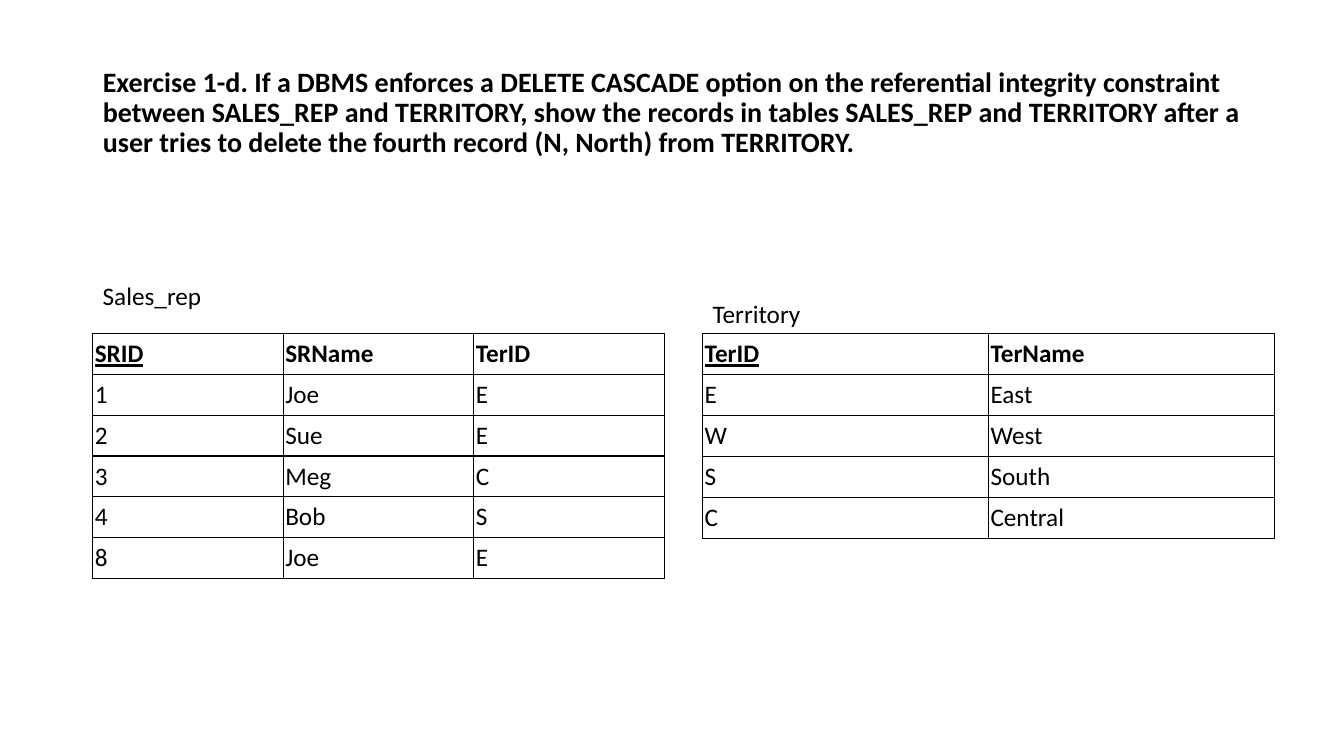
"""Builds the DELETE CASCADE exercise slide with its two resulting tables."""
from dataclasses import dataclass

from lxml.etree import SubElement
from pptx import Presentation
from pptx.dml.color import RGBColor
from pptx.enum.text import MSO_ANCHOR as Anchor, MSO_AUTO_SIZE as AutoSize, PP_ALIGN as Align
from pptx.oxml.ns import qn
from pptx.util import Inches, Pt


@dataclass(frozen=True)
class Theme:
    font: str = "Calibri"
    ink: str = "000000"
    title_size: int = 20
    body_size: int = 18
    border_width: int = 1
    cell_inset: float = 0.02


class SlideBuilder:
    def __init__(self, presentation, theme):
        self.theme = theme
        self.slide = presentation.slides.add_slide(presentation.slide_layouts[5])

    def format_text(self, text_frame, size, bold=False, underline=False):
        for paragraph in text_frame.paragraphs:
            paragraph.alignment = Align.LEFT
            for run in paragraph.runs:
                run.font.name = self.theme.font
                run.font.size = Pt(size)
                run.font.bold = bold
                run.font.underline = underline
                run.font.color.rgb = RGBColor.from_string(self.theme.ink)

    def title(self, text, left, top, width, height):
        shape = self.slide.shapes.title
        shape.left, shape.top = Inches(left), Inches(top)
        shape.width, shape.height = Inches(width), Inches(height)
        text_frame = shape.text_frame
        text_frame.text = text
        text_frame.word_wrap = True
        text_frame.auto_size = AutoSize.NONE
        text_frame.vertical_anchor = Anchor.MIDDLE
        text_frame.paragraphs[0].line_spacing = 0.9
        self.format_text(text_frame, self.theme.title_size, bold=True)

    def label(self, text, left, top, width, height):
        shape = self.slide.shapes.add_textbox(
            Inches(left), Inches(top), Inches(width), Inches(height))
        text_frame = shape.text_frame
        text_frame.text = text
        text_frame.word_wrap = False
        text_frame.auto_size = AutoSize.SHAPE_TO_FIT_TEXT
        self.format_text(text_frame, self.theme.body_size)

    def border(self, cell):
        properties = cell._tc.get_or_add_tcPr()
        for side in ("a:lnL", "a:lnR", "a:lnT", "a:lnB"):
            line = SubElement(properties, qn(side), w=str(Pt(self.theme.border_width)))
            fill = SubElement(line, qn("a:solidFill"))
            SubElement(fill, qn("a:srgbClr"), val=self.theme.ink)

    def table(self, records, left, top, width, height):
        table = self.slide.shapes.add_table(
            len(records), len(records[0]),
            Inches(left), Inches(top), Inches(width), Inches(height)).table
        table.first_row = table.horz_banding = False
        inset = Inches(self.theme.cell_inset)
        for row, record in enumerate(records):
            for column, value in enumerate(record):
                cell = table.cell(row, column)
                cell.text_frame.text = value
                cell.vertical_anchor = Anchor.MIDDLE
                cell.margin_left = cell.margin_right = inset
                cell.margin_top = cell.margin_bottom = inset
                is_header = row == 0
                self.format_text(cell.text_frame, self.theme.body_size,
                                 bold=is_header, underline=is_header and column == 0)
                self.border(cell)
                cell.fill.background()


SALES_REPS = [
    ("SRID", "SRName", "TerID"),
    ("1", "Joe", "E"),
    ("2", "Sue", "E"),
    ("3", "Meg", "C"),
    ("4", "Bob", "S"),
    ("8", "Joe", "E"),
]
TERRITORIES = [
    ("TerID", "TerName"),
    ("E", "East"),
    ("W", "West"),
    ("S", "South"),
    ("C", "Central"),
]


def main():
    presentation = Presentation()
    presentation.slide_width, presentation.slide_height = Inches(13.33), Inches(7.5)
    builder = SlideBuilder(presentation, Theme())
    left_column, right_column = 0.92, 6.97
    table_top, table_width = 3.31, 5.67
    builder.title(
        "Exercise 1-d. If a DBMS enforces a DELETE CASCADE option on the referential "
        "integrity constraint between SALES_REP and TERRITORY, show the records in tables "
        "SALES_REP and TERRITORY after a user tries to delete the fourth record (N, North) "
        "from TERRITORY.", left_column, 0.4, 11.5, 1.45)
    builder.table(SALES_REPS, left_column, table_top, table_width, 2.43)
    builder.table(TERRITORIES, right_column, table_top, table_width, 2.03)
    builder.label("Sales_rep", left_column, 2.73, 1.19, 0.4)
    builder.label("Territory", right_column, 2.91, 1.08, 0.4)
    presentation.save("out.pptx")


if __name__ == "__main__":
    main()
